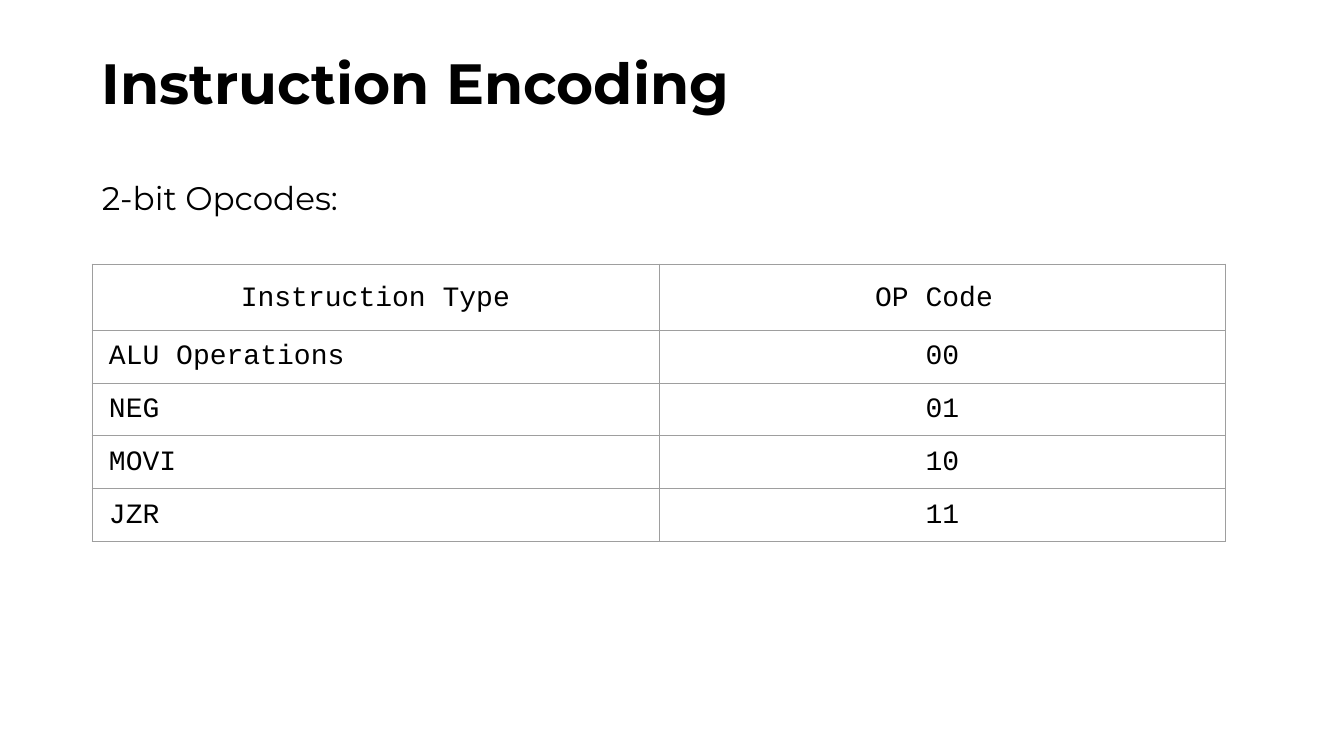
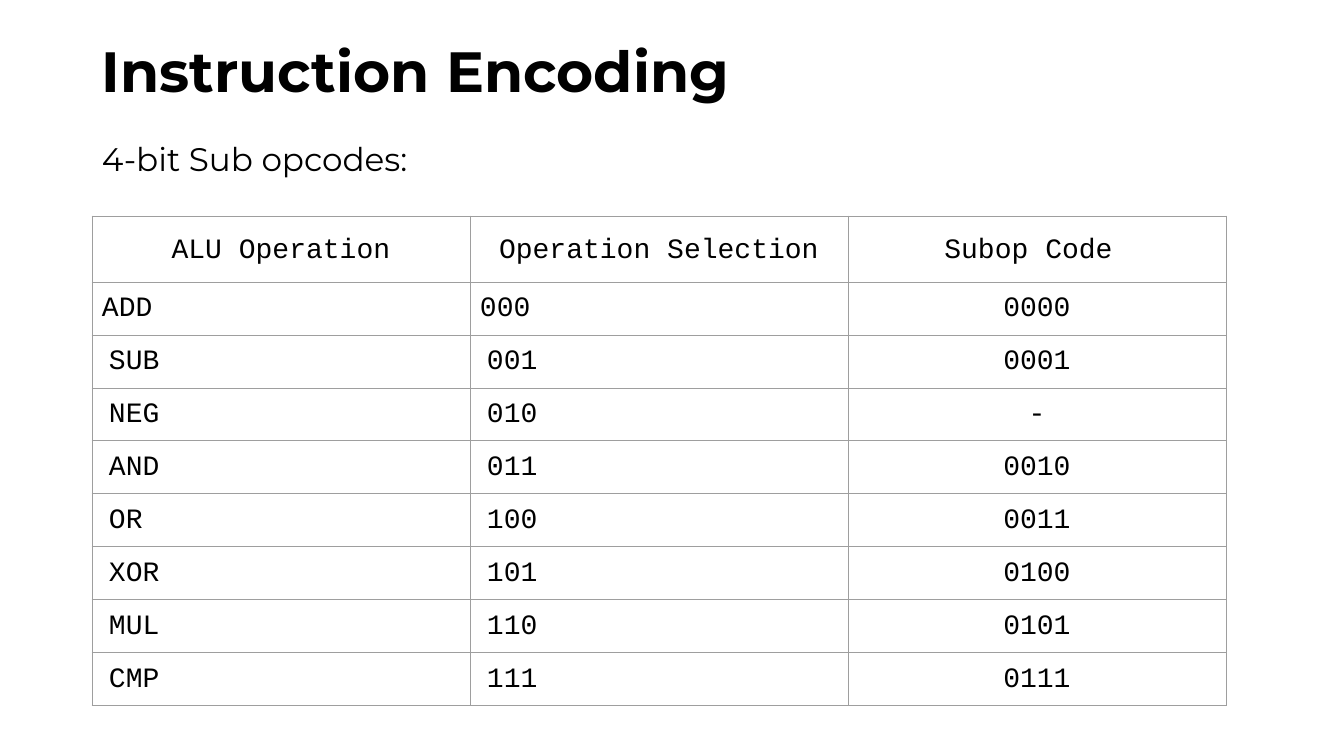
from lxml import etree
from pptx import Presentation
from pptx import util as u
from pptx.dml.color import RGBColor
from pptx.enum import text
from pptx.oxml import ns

PX = u.Inches(1) / 100.8
BLACK = RGBColor(0x00, 0x00, 0x00)
GRID = RGBColor(0x9E, 0x9E, 0x9E)
LEFT, WIDTH = 92, 1134
HEADER_HEIGHT, ROW_HEIGHT = 66, 53
PADDING, INDENT = 10, 7
SIDES = ("margin_left", "margin_top", "margin_right", "margin_bottom")

TITLE_FONT = {"name": "Montserrat", "size": u.Pt(40.5), "bold": True}
LEAD_FONT = {"name": "Montserrat", "size": u.Pt(23.3), "bold": False}
CELL_FONT = {"name": "Courier New", "size": u.Pt(20), "bold": False}
LEFT_ALIGNED = {"alignment": text.PP_ALIGN.LEFT}
HEADING_LINE = {"alignment": text.PP_ALIGN.CENTER, "line_spacing": 1.15}
NAME_LINE = {"alignment": text.PP_ALIGN.LEFT, "line_spacing": 1.04}
CODE_LINE = {"alignment": text.PP_ALIGN.CENTER, "line_spacing": 1.02}

OPCODES = [
    ("Instruction Type", "OP Code "),
    ("ALU Operations", "00"),
    ("NEG", "01"),
    ("MOVI", "10"),
    ("JZR", "11"),
]
SUBOPCODES = [
    ("ALU Operation", "Operation Selection", "Subop Code "),
    ("ADD", "000", "0000"),
    ("SUB", "001", "0001"),
    ("NEG", "010", "-"),
    ("AND", "011", "0010"),
    ("OR", "100", "0011"),
    ("XOR", "101", "0100"),
    ("MUL", "110", "0101"),
    ("CMP", "111", "0111"),
]


def px(length):
    """Turn pixels into EMU."""
    return u.Emu(round(length * PX))


def apply(target, values):
    """Set each attribute in a dict of format values."""
    for name, value in values.items():
        setattr(target, name, value)


def write(frame, wording, font, line):
    """Write one formatted paragraph into a text frame."""
    frame.text = wording
    paragraph = frame.paragraphs[0]
    apply(paragraph, line)
    run_font = paragraph.runs[0].font
    apply(run_font, font)
    run_font.color.rgb = BLACK


def add_title(slide, top, wording):
    """Place and format the slide title."""
    title = slide.shapes.title
    apply(title, {"left": px(LEFT), "top": px(top), "width": px(WIDTH), "height": px(80)})
    frame = title.text_frame
    apply(frame, {"auto_size": text.MSO_AUTO_SIZE.NONE, "word_wrap": True,
                  "vertical_anchor": text.MSO_ANCHOR.TOP})
    apply(frame, dict(zip(SIDES, map(px, (10, 5, 10, 5)))))
    write(frame, wording, TITLE_FONT, LEFT_ALIGNED)


def add_lead(slide, top, wording):
    """Add the line that introduces the table."""
    frame = slide.shapes.add_textbox(px(LEFT), px(top), px(WIDTH), px(55)).text_frame
    frame.word_wrap = True
    apply(frame, dict.fromkeys(SIDES, px(PADDING)))
    write(frame, wording, LEAD_FONT, {**LEFT_ALIGNED, "line_spacing": 0.9})


def outline(cell):
    """Draw a thin grey border on all sides of a cell."""
    properties = cell._tc.get_or_add_tcPr()
    for position, side in enumerate(("lnL", "lnR", "lnT", "lnB")):
        border = etree.Element(ns.qn(f"a:{side}"), w=str(u.Pt(0.75)))
        fill = etree.SubElement(border, ns.qn("a:solidFill"))
        etree.SubElement(fill, ns.qn("a:srgbClr"), val=str(GRID))
        properties.insert(position, border)


def fill_cell(cell, wording, line, indent):
    """Format a cell and write its text."""
    cell.fill.background()
    outline(cell)
    apply(cell, dict.fromkeys(SIDES, px(PADDING)))
    apply(cell, {"margin_left": px(PADDING + indent),
                 "vertical_anchor": text.MSO_ANCHOR.MIDDLE})
    write(cell.text_frame, wording, CELL_FONT, line)


def add_code_table(slide, top, rows, flush_rows=()):
    """Add a table whose last column holds centred codes."""
    columns = len(rows[0])
    height = HEADER_HEIGHT + ROW_HEIGHT * (len(rows) - 1)
    table = slide.shapes.add_table(
        len(rows), columns, px(LEFT), px(top), px(WIDTH), px(height)).table
    apply(table, {"first_row": False, "horz_banding": False})
    for column in table.columns:
        column.width = px(WIDTH // columns)
    for r, row in enumerate(rows):
        table.rows[r].height = px(ROW_HEIGHT if r else HEADER_HEIGHT)
        for c, wording in enumerate(row):
            is_name = r > 0 and c < columns - 1
            line = HEADING_LINE if r == 0 else NAME_LINE if is_name else CODE_LINE
            indent = INDENT if is_name and r not in flush_rows else 0
            fill_cell(table.cell(r, c), wording, line, indent)


def add_encoding_slide(deck, title_top, lead_top, lead, table_top, rows, flush_rows=()):
    """Add one slide about instruction encoding."""
    slide = deck.slides.add_slide(deck.slide_layouts[5])
    add_title(slide, title_top, "Instruction Encoding")
    add_code_table(slide, table_top, rows, flush_rows)
    add_lead(slide, lead_top, lead)


def main():
    """Build and save the deck."""
    deck = Presentation()
    apply(deck, {"slide_width": px(1344), "slide_height": px(756)})
    add_encoding_slide(deck, 43, 172, "2-bit Opcodes:", 264, OPCODES)
    add_encoding_slide(deck, 31, 133, "4-bit Sub opcodes:", 216, SUBOPCODES, flush_rows=(1,))
    deck.save("out.pptx")


if __name__ == "__main__":
    main()
